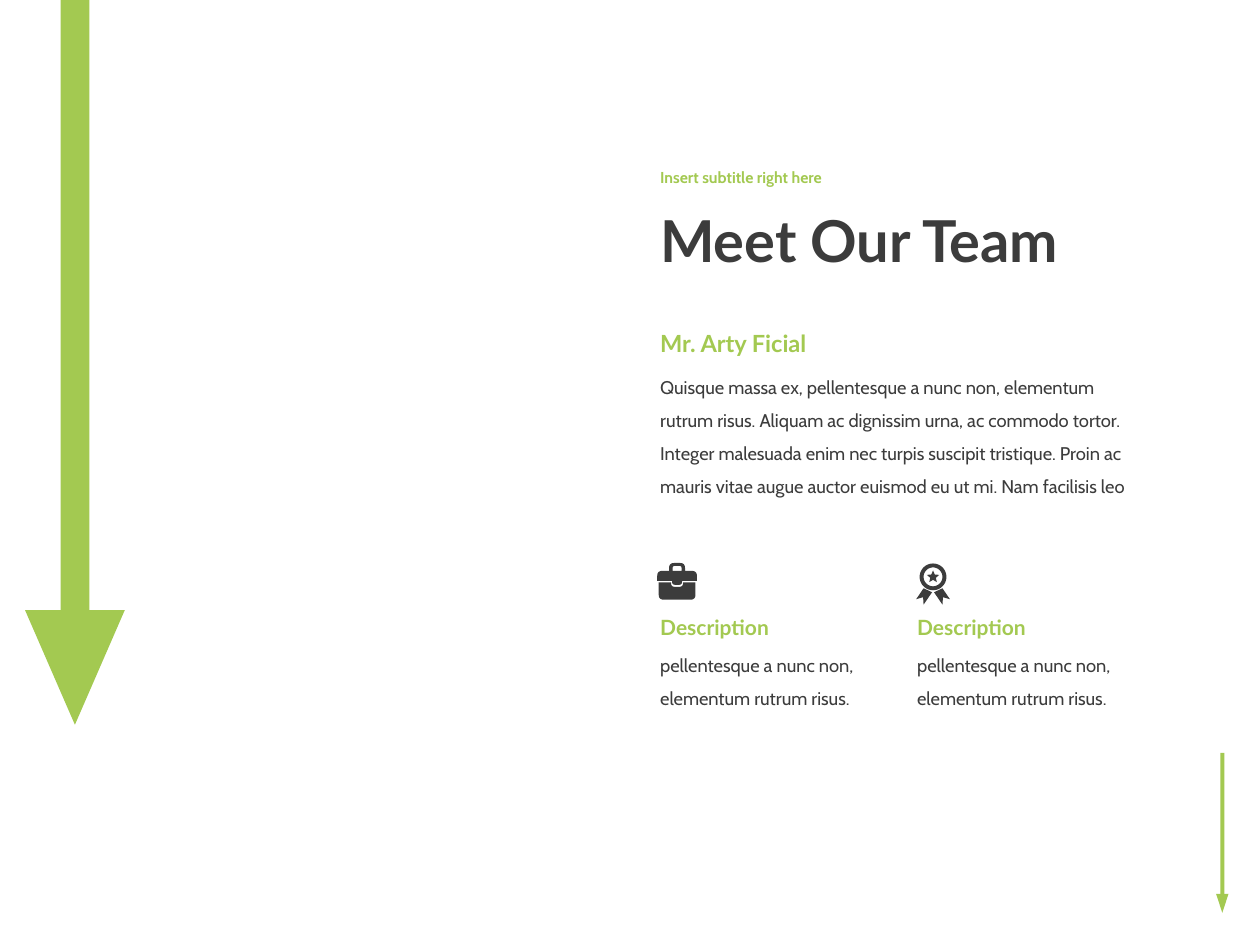
from math import cos, pi, sin

from pptx import Presentation
from pptx.dml.color import RGBColor
from pptx.enum.shapes import MSO_SHAPE as Preset
from pptx.enum.text import MSO_ANCHOR as Anchor
from pptx.util import Cm, Pt

COLORS = {"green": "A3C951", "dark": "3C3C3C"}

STYLES = {
    "title": {"font": "Lato", "size": 33, "color": "dark", "bold": True, "spacing": 0.9},
    "subtitle": {"font": "Cabin", "size": 9, "color": "green", "bold": True, "spacing": 0.9},
    "name": {"font": "Lato", "size": 13.5, "color": "green", "bold": True, "spacing": 1},
    "heading": {"font": "Lato", "size": 12, "color": "green", "bold": True, "spacing": 1},
    "body": {"font": "Cabin", "size": 10.5, "color": "dark", "bold": False, "spacing": 1.5},
}

LEFT = 13.06
COLUMN_STEP = 5.18
BIOGRAPHY = (
    "Quisque massa ex, pellentesque a nunc non, elementum rutrum risus. "
    "Aliquam ac dignissim urna, ac commodo tortor. Integer malesuada enim nec "
    "turpis suscipit tristique. Proin ac mauris vitae augue auctor euismod eu "
    "ut mi. Nam facilisis leo"
)
INTRODUCTION = [
    ("title", "Meet Our Team", 3.61, 14.3, 2.62, Anchor.MIDDLE),
    ("subtitle", "Insert subtitle right here", 3.12, 14.3, 0.97, Anchor.MIDDLE),
    ("body", BIOGRAPHY, 7.24, 10.16, 2.87, Anchor.TOP),
    ("name", "Mr. Arty Ficial", 6.5, 5.56, 0.84, Anchor.TOP),
]
DESCRIPTIONS = [
    ("Description", "pellentesque a nunc non, elementum rutrum risus."),
    ("Description", "pellentesque a nunc non, elementum rutrum risus."),
]

ARROWS = [
    {"center": 1.51, "top": -0.53, "length": 12.83, "thickness": 0.58, "head": (2.01, 2.31)},
    {"center": 24.64, "top": 15.18, "length": 2.84, "thickness": 0.08, "head": (0.25, 0.38)},
]

BRIEFCASE_CENTER = 13.65
CASE_BASE = [(0.12, 11.83, 0.07), (0.12, 11.74, 0), (0.37, 11.74, 0), (0.37, 12.09, 0.1)]
CASE_LID = [
    (0.16, 11.35, 0.1), (0.16, 11.51, 0), (0.4, 11.51, 0.1),
    (0.4, 11.71, 0), (0.1, 11.71, 0), (0.1, 11.79, 0.06),
]
CASE_HANDLE_HOLE = [(0.09, 11.41, 0.04), (0.09, 11.51, 0)]

MEDAL_CENTER = (18.81, 11.63)
MEDAL_RADII = (0.27, 0.19)
STAR_RADII = (0.13, 0.06)
RIBBON = [(0.19, 11.86), (0.02, 11.94), (0.19, 12.19), (0.2, 12.04), (0.34, 12.08)]


def paint(shape, color):
    shape.fill.solid()
    shape.fill.fore_color.rgb = RGBColor.from_string(COLORS[color])
    shape.line.fill.background()
    shape.shadow.inherit = False


def add_text(slide, style_name, text, left, top, width, height, anchor=Anchor.TOP):
    style = STYLES[style_name]
    frame = slide.shapes.add_textbox(Cm(left), Cm(top), Cm(width), Cm(height)).text_frame
    frame.word_wrap = True
    frame.vertical_anchor = anchor
    paragraph = frame.paragraphs[0]
    paragraph.text = text
    paragraph.line_spacing = style["spacing"]
    font = paragraph.font
    font.name, font.size, font.bold = style["font"], Pt(style["size"]), style["bold"]
    font.color.rgb = RGBColor.from_string(COLORS[style["color"]])


def add_arrow(slide, center, top, length, thickness, head):
    group = slide.shapes.add_group_shape()
    shaft = group.shapes.add_shape(
        Preset.RECTANGLE, Cm(center - length / 2), Cm(top + length / 2 - thickness / 2),
        Cm(length), Cm(thickness))
    shaft.rotation = 90
    width, height = head
    tip = group.shapes.add_shape(
        Preset.ISOSCELES_TRIANGLE, Cm(center - width / 2), Cm(top + length),
        Cm(width), Cm(height))
    tip.rotation = 180
    for part in (shaft, tip):
        paint(part, "green")


def add_outline(group, *contours):
    scaled = [[(Cm(x), Cm(y)) for x, y in contour] for contour in contours]
    builder = group.shapes.build_freeform(*scaled[0][0])
    for index, contour in enumerate(scaled):
        if index:
            builder.move_to(*contour[0])
        builder.add_line_segments(contour[1:], close=True)
    paint(builder.convert_to_shape(), "dark")


def round_corners(corners, steps=6):
    points = []
    for index, (x, y, radius) in enumerate(corners):
        if not radius:
            points.append((x, y))
            continue
        ends = []
        for other_x, other_y, _ in (corners[index - 1], corners[(index + 1) % len(corners)]):
            distance = ((other_x - x) ** 2 + (other_y - y) ** 2) ** 0.5
            share = min(radius / distance, 1)
            ends.append((x + (other_x - x) * share, y + (other_y - y) * share))
        (start_x, start_y), (end_x, end_y) = ends
        for step in range(steps + 1):
            t = step / steps
            a, b, c = (1 - t) ** 2, 2 * t * (1 - t), t * t
            points.append((a * start_x + b * x + c * end_x, a * start_y + b * y + c * end_y))
    return points


def mirror(half, center):
    right = [(center + x, y, radius) for x, y, radius in half]
    left = [(center - x, y, radius) for x, y, radius in reversed(half)]
    return round_corners(right + left)


def ring_points(radii, count):
    center_x, center_y = MEDAL_CENTER
    points = []
    for index in range(count):
        angle = 2 * pi * index / count - pi / 2
        radius = radii[index % len(radii)]
        points.append((center_x + radius * cos(angle), center_y + radius * sin(angle)))
    return points


def add_briefcase(slide):
    group = slide.shapes.add_group_shape()
    base, lid, hole = (
        mirror(half, BRIEFCASE_CENTER) for half in (CASE_BASE, CASE_LID, CASE_HANDLE_HOLE))
    add_outline(group, base)
    add_outline(group, lid, hole[::-1])


def add_medal(slide):
    group = slide.shapes.add_group_shape()
    outer, inner = (ring_points([radius], 48) for radius in MEDAL_RADII)
    add_outline(group, outer, inner[::-1])
    for side in (-1, 1):
        add_outline(group, [(MEDAL_CENTER[0] + side * x, y) for x, y in RIBBON])
    add_outline(group, ring_points(STAR_RADII, 10))


def main():
    presentation = Presentation()
    presentation.slide_width, presentation.slide_height = Cm(25.4), Cm(19.05)
    slide = presentation.slides.add_slide(presentation.slide_layouts[6])
    for arrow in ARROWS:
        add_arrow(slide, **arrow)
    for style, text, top, width, height, anchor in INTRODUCTION:
        add_text(slide, style, text, LEFT, top, width, height, anchor)
    for column, (heading, body) in enumerate(DESCRIPTIONS):
        left = LEFT + column * COLUMN_STEP
        add_text(slide, "body", body, left, 12.85, 4.8, 1.52)
        add_text(slide, "heading", heading, left, 12.27, 3.81, 0.76)
    add_briefcase(slide)
    add_medal(slide)
    presentation.save("out.pptx")


if __name__ == "__main__":
    main()
